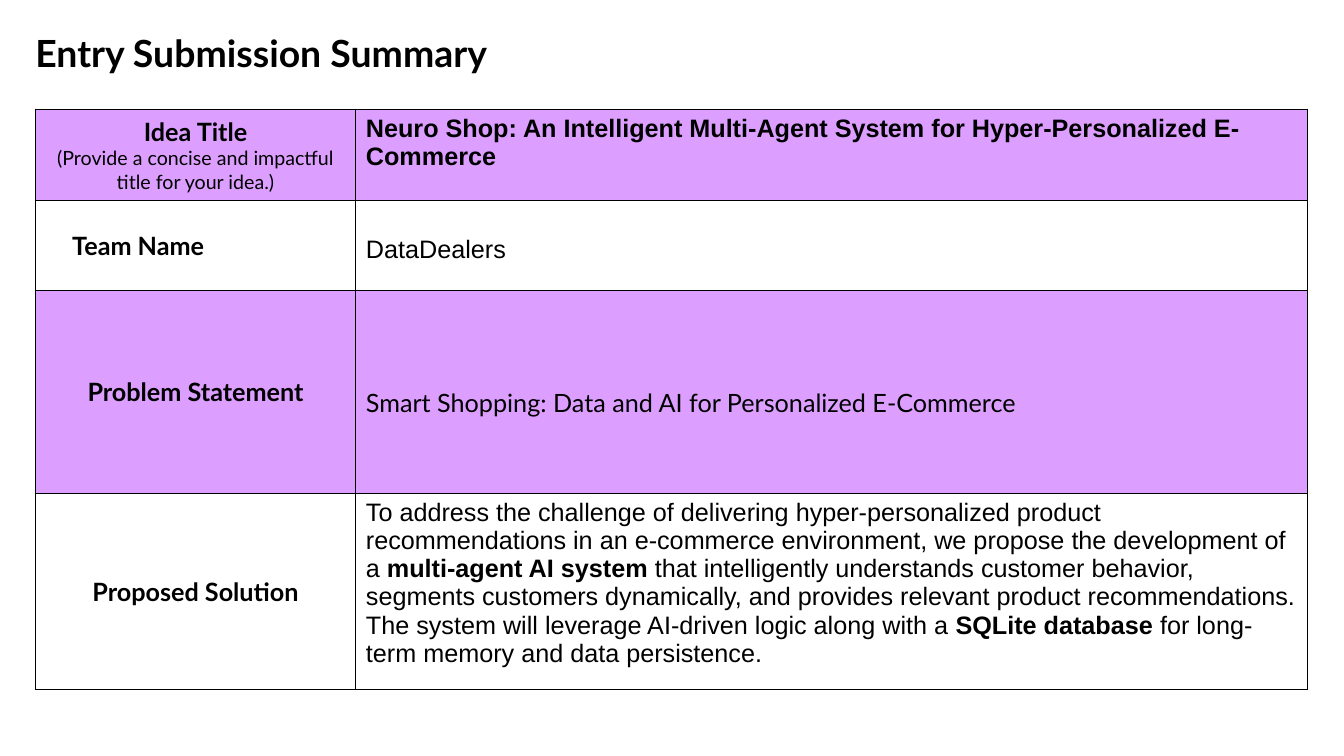
import pptx
import pptx.dml.color
import pptx.enum.text
import pptx.oxml
import pptx.oxml.ns
import pptx.util

Pt = pptx.util.Pt
PP_ALIGN = pptx.enum.text.PP_ALIGN
MIDDLE = pptx.enum.text.MSO_ANCHOR.MIDDLE
TOP = pptx.enum.text.MSO_ANCHOR.TOP

BLACK = pptx.dml.color.RGBColor(0x00, 0x00, 0x00)
WHITE = pptx.dml.color.RGBColor(0xFF, 0xFF, 0xFF)
LILAC = pptx.dml.color.RGBColor(0xDD, 0x9F, 0xFF)

COLUMN_WIDTHS = [229, 680]
ROW_HEIGHTS = [65.2, 64.4, 144.8, 140.2]
CELL_INSET = 3.6

SOLUTION_RUNS = [
    ("To address the challenge of delivering hyper-personalized product recommendations "
     "in an e-commerce environment, we propose the development of a ", False),
    ("multi-agent AI system", True),
    (" that intelligently understands customer behavior, segments customers dynamically, "
     "and provides relevant product recommendations. The system will leverage AI-driven "
     "logic along with a ", False),
    ("SQLite database", True),
    (" for long-term memory and data persistence.", False),
]


def style_paragraph(paragraph, size, font, bold=None, alignment=PP_ALIGN.LEFT):
    paragraph.alignment = alignment
    paragraph.font.size = Pt(size)
    paragraph.font.name = font
    paragraph.font.bold = bold
    paragraph.font.color.rgb = BLACK


def add_title(slide, text):
    box = slide.shapes.add_textbox(Pt(25.2), Pt(28), Pt(885), Pt(67))
    frame = box.text_frame
    frame.word_wrap = True
    frame.margin_left = frame.margin_top = frame.margin_bottom = 0
    frame.margin_right = Pt(9.4)
    paragraph = frame.paragraphs[0]
    paragraph.text = text
    paragraph.line_spacing = 0.8
    style_paragraph(paragraph, 26.7, "Lato", True)


def set_borders(cell, color, width):
    properties = cell._tc.get_or_add_tcPr()
    for index, side in enumerate(("lnL", "lnR", "lnT", "lnB")):
        properties.insert(index, pptx.oxml.parse_xml(
            f'<a:{side} {pptx.oxml.ns.nsdecls("a")} w="{Pt(width)}">'
            f'<a:solidFill><a:srgbClr val="{color}"/></a:solidFill></a:{side}>'))


def add_table(slide):
    """Add the bordered table with alternating row fills and return it."""
    frame = slide.shapes.add_table(
        len(ROW_HEIGHTS), len(COLUMN_WIDTHS), Pt(25.2), Pt(78),
        Pt(sum(COLUMN_WIDTHS)), Pt(sum(ROW_HEIGHTS)))
    table = frame.table
    table.first_row = table.horz_banding = False
    for column, width in zip(table.columns, COLUMN_WIDTHS):
        column.width = Pt(width)
    for index, (row, height) in enumerate(zip(table.rows, ROW_HEIGHTS)):
        row.height = Pt(height)
        for cell in row.cells:
            cell.fill.solid()
            cell.fill.fore_color.rgb = WHITE if index % 2 else LILAC
            set_borders(cell, BLACK, 1)
    return table


def fill_label(cell, label, hint=None):
    cell.vertical_anchor = MIDDLE
    paragraph = cell.text_frame.paragraphs[0]
    paragraph.text = label
    style_paragraph(paragraph, 18, "Lato", True, PP_ALIGN.CENTER)
    if hint:
        paragraph = cell.text_frame.add_paragraph()
        paragraph.text = hint
        style_paragraph(paragraph, 14, "Lato", False, PP_ALIGN.CENTER)


def fill_answer(cell, runs, font="Arial", top=CELL_INSET):
    """Write (text, bold) runs, starting the given distance below the cell's top."""
    cell.vertical_anchor = TOP
    cell.margin_top = Pt(top)
    paragraph = cell.text_frame.paragraphs[0]
    style_paragraph(paragraph, 18, font)
    for text, bold in runs:
        run = paragraph.add_run()
        run.text = text
        run.font.bold = bold


def main():
    presentation = pptx.Presentation()
    presentation.slide_width = Pt(960)
    presentation.slide_height = Pt(540)
    slide = presentation.slides.add_slide(presentation.slide_layouts[6])

    add_title(slide, "Entry Submission Summary")
    table = add_table(slide)

    fill_label(table.cell(0, 0), "Idea Title",
               "(Provide a concise and impactful title for your idea.)")
    fill_answer(table.cell(0, 1), [
        ("Neuro Shop: An Intelligent Multi-Agent System for "
         "Hyper-Personalized E-Commerce", True)])

    team_label = table.cell(1, 0)
    fill_label(team_label, "Team Name")
    team_label.text_frame.paragraphs[0].alignment = PP_ALIGN.LEFT
    team_label.margin_left = Pt(26.4)
    fill_answer(table.cell(1, 1), [("DataDealers", False)], top=25)

    fill_label(table.cell(2, 0), "Problem Statement")
    fill_answer(table.cell(2, 1), [
        ("Smart Shopping: Data and AI for Personalized E-Commerce", False)],
        font="Lato", top=69)

    fill_label(table.cell(3, 0), "Proposed Solution")
    fill_answer(table.cell(3, 1), SOLUTION_RUNS)

    presentation.save("out.pptx")


if __name__ == "__main__":
    main()
